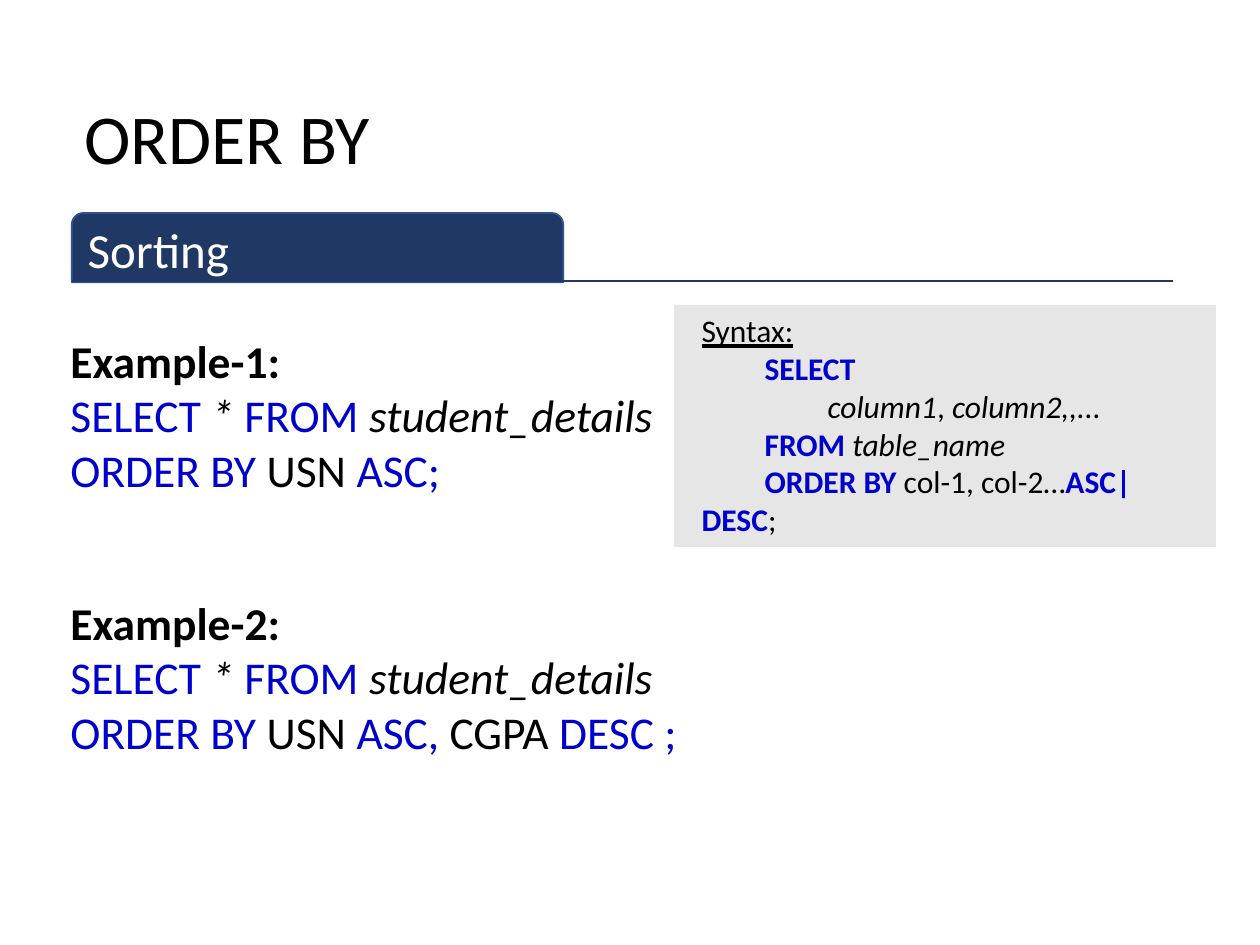
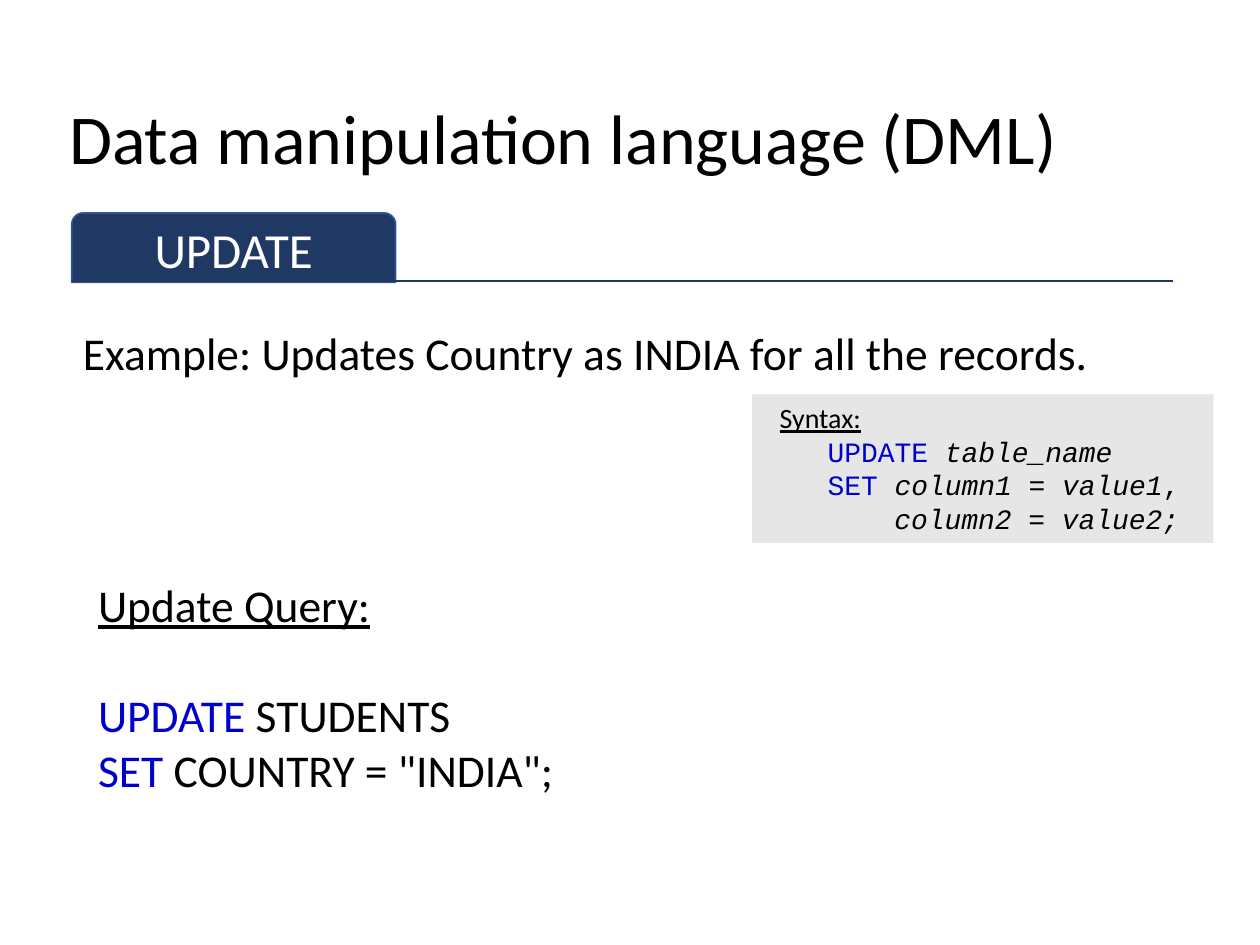
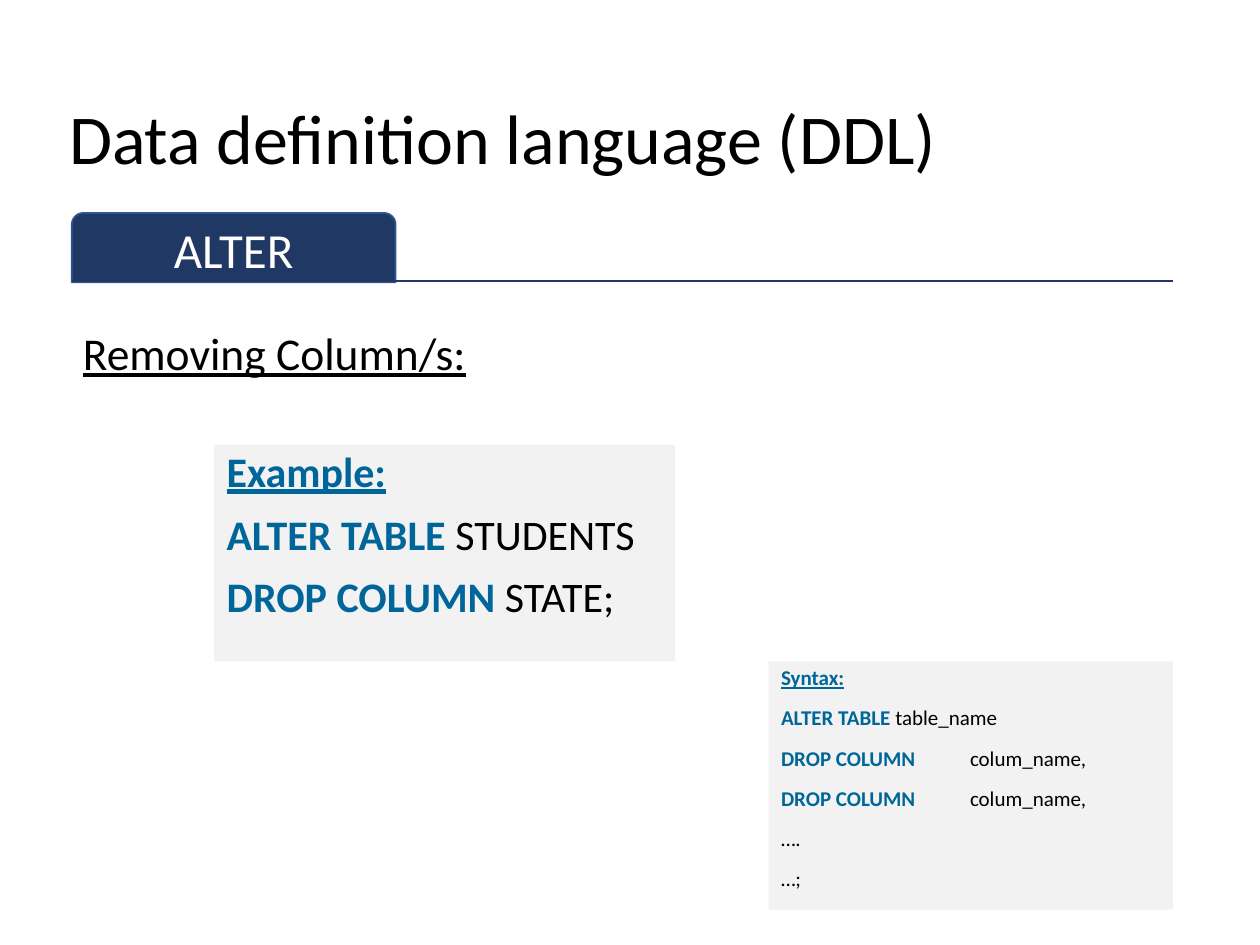
from dataclasses import dataclass
from functools import partial
from typing import NamedTuple

from lxml.etree import SubElement
from pptx import Presentation
from pptx.dml.color import RGBColor
from pptx.enum.shapes import MSO_CONNECTOR, MSO_SHAPE
from pptx.enum.text import MSO_ANCHOR, MSO_AUTO_SIZE, PP_ALIGN
from pptx.oxml.ns import qn
from pptx.util import Inches, Pt

COLORS = {
    "text": "000000",
    "white": "FFFFFF",
    "navy": "203864",
    "navy_edge": "325491",
    "keyword": "0000CD",
    "teal": "006699",
    "syntax_panel": "E7E6E6",
    "alter_panel": "F2F2F2",
}
CODE_FONT = "Courier New"


class Run(NamedTuple):
    text: str
    color: str = "text"
    bold: bool = False
    italic: bool = False
    underline: bool = False


@dataclass
class Line:
    """One paragraph; lengths are inches, space before is points."""
    runs: list[Run]
    margin: float = 0
    first: float = 0
    before: float = 0
    spacing: float = 1
    align: PP_ALIGN = PP_ALIGN.LEFT
    tab: float = 0
    font: str = "Calibri"


class Box(NamedTuple):
    left: float
    top: float
    width: float
    height: float


Keyword = partial(Run, color="keyword")
BoldKeyword = partial(Run, color="keyword", bold=True)
Teal = partial(Run, color="teal", bold=True)
Italic = partial(Run, italic=True)
Heading = partial(Run, underline=True)


def color_of(name: str) -> RGBColor:
    return RGBColor.from_string(COLORS[name])


def add_text(paragraph, text: str, *, size: float, font: str = "Calibri",
             color: str = "text", bold: bool = False, italic: bool = False,
             underline: bool = False) -> None:
    run = paragraph.add_run()
    run.text = text
    run.font.size, run.font.name = Pt(size), font
    run.font.bold, run.font.italic, run.font.underline = bold, italic, underline
    run.font.color.rgb = color_of(color)


def fill_text(shape, lines: list[Line], size: float, anchor=MSO_ANCHOR.TOP,
              grow: bool = False) -> None:
    frame = shape.text_frame
    frame.word_wrap = True
    frame.vertical_anchor = anchor
    frame.auto_size = MSO_AUTO_SIZE.SHAPE_TO_FIT_TEXT if grow else MSO_AUTO_SIZE.NONE
    for index, line in enumerate(lines):
        paragraph = frame.add_paragraph() if index else frame.paragraphs[0]
        paragraph.alignment = line.align
        paragraph.line_spacing = line.spacing
        paragraph.space_before = Pt(line.before)
        properties = paragraph._p.get_or_add_pPr()
        properties.set("marL", str(Inches(line.margin)))
        properties.set("indent", str(Inches(line.first)))
        if line.tab:
            stops = SubElement(properties, qn("a:tabLst"))
            SubElement(stops, qn("a:tab"), pos=str(Inches(line.tab)), algn="l")
        for run in line.runs:
            add_text(paragraph, run.text, size=size, font=line.font, color=run.color,
                     bold=run.bold, italic=run.italic, underline=run.underline)


def add_text_box(slide, box: Box, lines: list[Line], size: float,
                 anchor=MSO_ANCHOR.TOP, grow: bool = True) -> None:
    shape = slide.shapes.add_textbox(*map(Inches, box))
    fill_text(shape, lines, size, anchor, grow)


def add_panel(slide, box: Box, lines: list[Line], size: float, fill: str,
              kind=MSO_SHAPE.RECTANGLE, edge: str = "", anchor=MSO_ANCHOR.TOP,
              grow: bool = False) -> None:
    shape = slide.shapes.add_shape(kind, *map(Inches, box))
    shape.shadow.inherit = False
    shape.fill.solid()
    shape.fill.fore_color.rgb = color_of(fill)
    if edge:
        shape.line.color.rgb = color_of(edge)
        shape.line.width = Pt(1)
    else:
        shape.line.fill.background()
    fill_text(shape, lines, size, anchor, grow)


def add_topic_slide(presentation, title: str, topic: str, title_left: float = 0.45,
                    tab_width: float = 2.57, align=PP_ALIGN.CENTER):
    """Slide with the title, the topic tab and the rule below it."""
    slide = presentation.slides.add_slide(presentation.slide_layouts[6])
    add_text_box(slide, Box(title_left, 0.4, 8.87, 1.45),
                 [Line([Run(title)], spacing=0.9)], 40, MSO_ANCHOR.MIDDLE, grow=False)
    add_panel(slide, Box(0.57, 1.69, tab_width, 0.55),
              [Line([Run(topic, "white")], align=align)], 28, "navy",
              MSO_SHAPE.ROUND_2_SAME_RECTANGLE, "navy_edge", MSO_ANCHOR.MIDDLE)
    rule = slide.shapes.add_connector(MSO_CONNECTOR.STRAIGHT, Inches(0.57), Inches(2.23),
                                      Inches(9.31), Inches(2.23))
    rule.line.color.rgb = color_of("navy")
    rule.line.width = Pt(1.5)
    SubElement(rule._element.spPr, qn("a:effectLst"))
    return slide


def build_order_by(presentation) -> None:
    slide = add_topic_slide(presentation, "ORDER BY", "Sorting", 0.57, 3.9, PP_ALIGN.LEFT)

    # Syntax panel
    add_panel(slide, Box(5.35, 2.42, 4.3, 1.92), [
        Line([Heading("Syntax:")], margin=0.12),
        Line([BoldKeyword("SELECT")], margin=0.62),
        Line([Italic("column1"), Run(","), Italic(" column2,,...")], margin=1.12),
        Line([BoldKeyword("FROM "), Italic("table_name")], margin=0.62),
        Line([BoldKeyword("ORDER BY"), Run(" col-1, col-2…"), BoldKeyword("ASC|DESC"),
              Run(";")], margin=0.12, first=0.5),
    ], 18, "syntax_panel", grow=True)

    # Example queries
    examples = [
        (2.59, "Example-1:", [Keyword("ASC;")]),
        (4.67, "Example-2:", [Keyword("ASC, "), Run("CGPA"), Keyword(" DESC ;")]),
    ]
    for top, name, order in examples:
        rows = [
            [Run(name, bold=True)],
            [Keyword("SELECT "), Italic("* "), Keyword("FROM "), Italic("student_details")],
            [Keyword("ORDER BY "), Run("USN "), *order],
        ]
        add_text_box(slide, Box(0.34, top, 5.55, 1.41),
                     [Line(row, margin=0.12) for row in rows], 26)


def build_update(presentation) -> None:
    slide = add_topic_slide(presentation, "Data manipulation language (DML)", "UPDATE")
    add_text_box(slide, Box(0.56, 2.53, 9.25, 0.54),
                 [Line([Run("Example: Updates Country as INDIA for all the records.")])], 26)

    # Syntax panel
    code = partial(Line, margin=0.5, font=CODE_FONT)
    add_panel(slide, Box(5.97, 3.13, 3.66, 1.18), [
        Line([Heading("Syntax:")], margin=0.12),
        code([Keyword("UPDATE "), Italic("table_name")]),
        code([Keyword("SET "), Italic("column1 "), Run("="), Italic(" value1"), Run(",")]),
        code([Italic("column2 "), Run("="), Italic(" value2;")], margin=1.03),
    ], 16, "syntax_panel", grow=True)

    # Query, set one line below its heading
    add_text_box(slide, Box(0.68, 4.53, 7.83, 2.29), [
        Line([Heading("Update Query:")]),
        Line([Keyword("UPDATE"), Run(" STUDENTS")], before=31.7),
        Line([Keyword("SET"), Run(' COUNTRY = "INDIA";')]),
    ], 26)


def build_alter(presentation) -> None:
    slide = add_topic_slide(presentation, "Data definition language (DDL)", "ALTER")
    add_text_box(slide, Box(0.56, 2.53, 8.74, 0.54),
                 [Line([Heading("Removing Column/s:")], align=PP_ALIGN.JUSTIFY)], 26)

    # Example and syntax panels
    spaced = partial(Line, before=10, spacing=0.9)
    add_panel(slide, Box(1.7, 3.53, 3.66, 1.72), [
        spaced([Teal("Example:", underline=True)]),
        spaced([Teal("ALTER TABLE "), Run("STUDENTS")]),
        spaced([Teal("DROP COLUMN "), Run("STATE;")]),
    ], 24, "alter_panel")
    drop_column = spaced([Teal("DROP COLUMN"), Run("\tcolum_name,")], tab=1.18)
    add_panel(slide, Box(6.1, 5.25, 3.21, 1.97), [
        spaced([Teal("Syntax:", underline=True)]),
        spaced([Teal("ALTER TABLE "), Run("table_name")]),
        drop_column,
        drop_column,
        spaced([Run("….")]),
        spaced([Run("…;")]),
    ], 12, "alter_panel")


def main() -> None:
    presentation = Presentation()
    presentation.slide_width, presentation.slide_height = Inches(10), Inches(7.5)
    build_order_by(presentation)
    build_update(presentation)
    build_alter(presentation)
    presentation.save("out.pptx")


if __name__ == "__main__":
    main()
